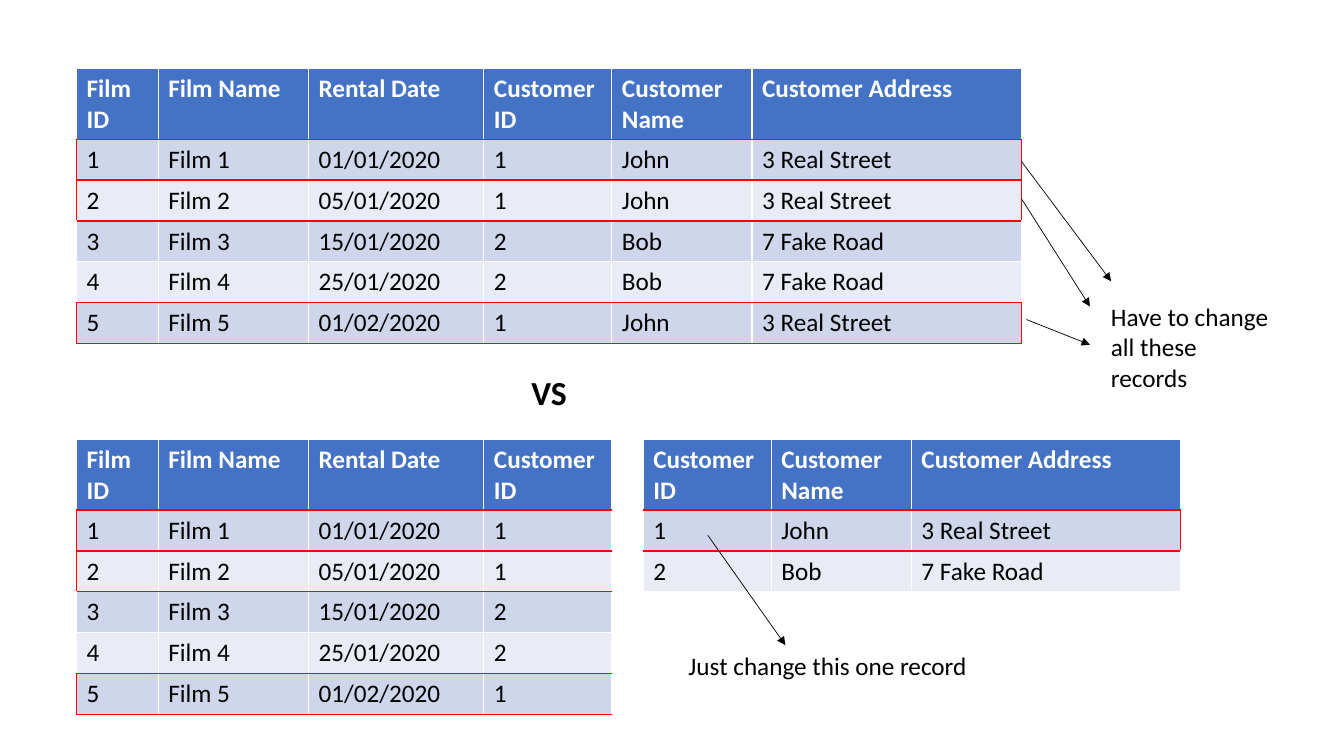
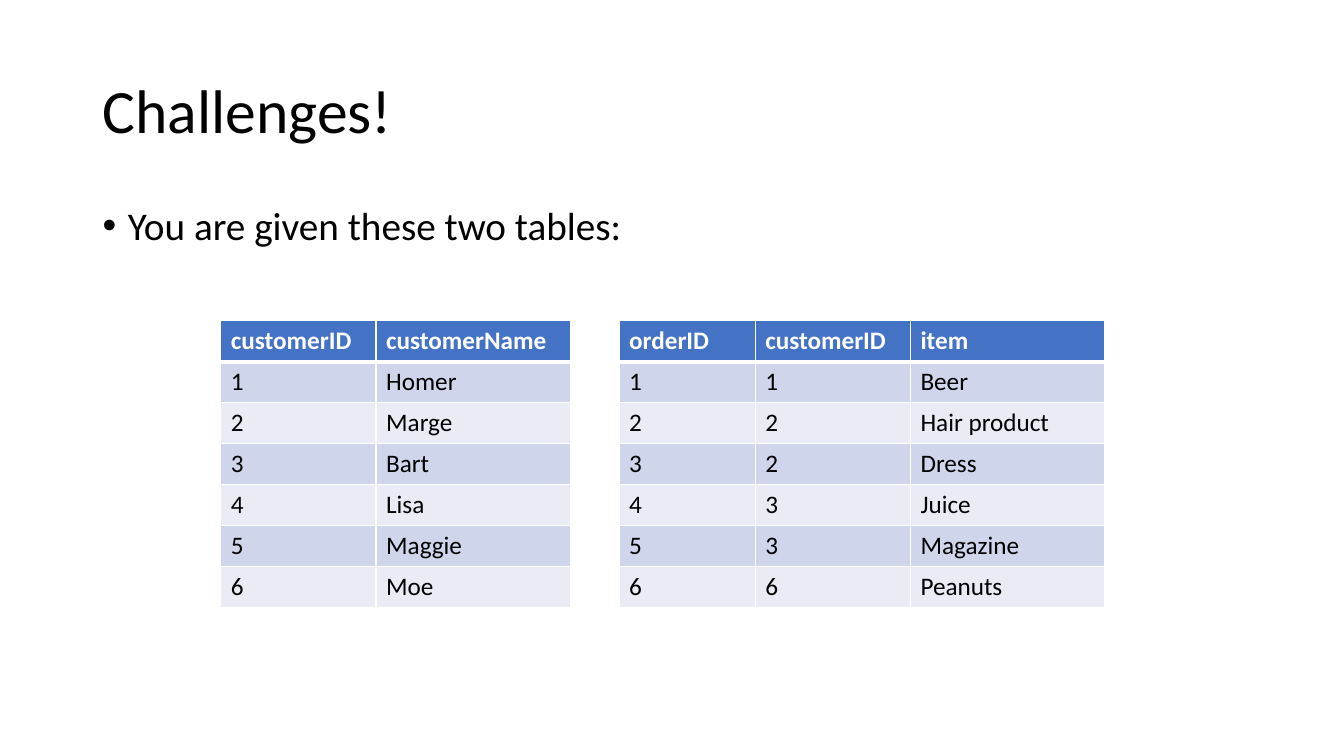
from dataclasses import dataclass

from lxml import etree
from pptx import Presentation
from pptx.dml.color import RGBColor
from pptx.enum import shapes, text
from pptx.oxml import ns
from pptx.util import Inches, Pt


@dataclass(frozen=True)
class Theme:
    font: str = "Calibri"
    ink: str = "000000"
    white: str = "FFFFFF"
    header: str = "4472C4"
    bands: tuple[str, str] = ("CFD5EA", "E9EBF5")
    mark: str = "FF0000"
    title: int = 44
    lead: int = 28
    versus: int = 24
    body: int = 18


@dataclass(frozen=True)
class Grid:
    left: float
    top: float
    widths: tuple[float, ...]
    rows: list[tuple[str, ...]]
    header_height: float = 0.41
    marked: tuple[int, ...] = ()
    mark_left: bool = False
    mark_right: bool = False


@dataclass(frozen=True)
class Label:
    text: str
    left: float
    top: float
    width: float
    height: float
    size: int
    bold: bool = False
    align: text.PP_ALIGN = text.PP_ALIGN.LEFT
    anchor: text.MSO_ANCHOR = text.MSO_ANCHOR.TOP
    line_spacing: float = 1.0
    space_before: float = 0
    bullet: bool = False


@dataclass(frozen=True)
class Arrow:
    x1: float
    y1: float
    x2: float
    y2: float


THEME = Theme()
ROW_HEIGHT = 0.406
TALL_HEADER = 0.7

FILM_HEADS = ("Film ID", "Film Name", "Rental Date")
CUSTOMER_HEADS = ("Customer ID", "Customer Name", "Customer Address")
FILM_WIDTHS = (0.81, 1.49, 1.74)
CUSTOMER_WIDTHS = (1.27, 1.39, 2.67)
CUSTOMERS = {"1": ("John", "3 Real Street"), "2": ("Bob", "7 Fake Road")}
RENTALS = [
    ("1", "Film 1", "01/01/2020", "1"),
    ("2", "Film 2", "05/01/2020", "1"),
    ("3", "Film 3", "15/01/2020", "2"),
    ("4", "Film 4", "25/01/2020", "2"),
    ("5", "Film 5", "01/02/2020", "1"),
]
JOHN_ROWS = (1, 2, 5)
ID_WIDTH, NAME_WIDTH = 1.54, 1.93

RENTAL_GRIDS = [
    Grid(0.76, 0.68, FILM_WIDTHS + CUSTOMER_WIDTHS,
         [FILM_HEADS + CUSTOMER_HEADS] + [r + CUSTOMERS[r[-1]] for r in RENTALS],
         TALL_HEADER, JOHN_ROWS, mark_left=True, mark_right=True),
    Grid(0.76, 4.36, FILM_WIDTHS + CUSTOMER_WIDTHS[:1],
         [FILM_HEADS + CUSTOMER_HEADS[:1]] + RENTALS,
         TALL_HEADER, JOHN_ROWS, mark_left=True),
    Grid(6.38, 4.36, CUSTOMER_WIDTHS,
         [CUSTOMER_HEADS] + [(key, *person) for key, person in CUSTOMERS.items()],
         TALL_HEADER, (1,), mark_right=True),
]
RENTAL_ARROWS = [
    Arrow(10.13, 1.6, 11.02, 2.79),
    Arrow(10.13, 1.97, 10.81, 3.04),
    Arrow(10.18, 3.17, 10.81, 3.42),
    Arrow(7.02, 5.31, 7.79, 6.4),
]
RENTAL_LABELS = [
    Label("Have to change all these records", 10.92, 2.94, 1.84, 1.01, THEME.body),
    Label("VS", 5.02, 3.64, 0.85, 0.5, THEME.versus, bold=True,
          align=text.PP_ALIGN.CENTER),
    Label("Just change this one record", 6.73, 6.4, 3.57, 0.4, THEME.body),
]
CHALLENGE_LABELS = [
    Label("Challenges!", 0.92, 0.4, 11.5, 1.45, THEME.title,
          anchor=text.MSO_ANCHOR.MIDDLE, line_spacing=0.9),
    Label("You are given these two tables:", 0.92, 2, 11.5, 4.76, THEME.lead,
          line_spacing=0.9, space_before=10, bullet=True),
]
CHALLENGE_GRIDS = [
    Grid(2.19, 3.18, (ID_WIDTH, NAME_WIDTH), [
        ("customerID", "customerName"),
        ("1", "Homer"),
        ("2", "Marge"),
        ("3", "Bart"),
        ("4", "Lisa"),
        ("5", "Maggie"),
        ("6", "Moe"),
    ]),
    Grid(6.14, 3.18, (1.35, ID_WIDTH, NAME_WIDTH), [
        ("orderID", "customerID", "item"),
        ("1", "1", "Beer"),
        ("2", "2", "Hair product"),
        ("3", "2", "Dress"),
        ("4", "3", "Juice"),
        ("5", "3", "Magazine"),
        ("6", "6", "Peanuts"),
    ]),
]


def style_text(p, size: int, color: str, bold: bool = False) -> None:
    for r in p.runs:
        r.font.name = THEME.font
        r.font.size = Pt(size)
        r.font.bold = bold
        r.font.color.rgb = RGBColor.from_string(color)


def add_border(cell, side: str, color: str, width: float = 1) -> None:
    ln = etree.SubElement(cell._tc.get_or_add_tcPr(), ns.qn(f"a:ln{side}"),
                          w=str(Pt(width)))
    fill = etree.SubElement(ln, ns.qn("a:solidFill"))
    etree.SubElement(fill, ns.qn("a:srgbClr"), val=color)


def style_cell(cell, grid: Grid, row: int, col: int) -> None:
    is_header = row == 0
    marked = row in grid.marked
    red = {
        "L": marked and grid.mark_left and col == 0,
        "R": marked and grid.mark_right and col == len(grid.widths) - 1,
        "T": marked or row - 1 in grid.marked,
        "B": marked or row + 1 in grid.marked,
    }
    for side, is_red in red.items():
        thick = is_header and side == "B" and not is_red
        add_border(cell, side, THEME.mark if is_red else THEME.white,
                   3 if thick else 1)
    cell.fill.solid()
    fill = THEME.header if is_header else THEME.bands[(row - 1) % 2]
    cell.fill.fore_color.rgb = RGBColor.from_string(fill)
    cell.text_frame.text = grid.rows[row][col]
    style_text(cell.text_frame.paragraphs[0], THEME.body,
               THEME.white if is_header else THEME.ink, is_header)


def draw_grid(s, grid: Grid) -> None:
    heights = [grid.header_height] + [ROW_HEIGHT] * (len(grid.rows) - 1)
    table = s.shapes.add_table(
        len(grid.rows), len(grid.widths), Inches(grid.left), Inches(grid.top),
        Inches(sum(grid.widths)), Inches(sum(heights))).table
    for column, width in zip(table.columns, grid.widths):
        column.width = Inches(width)
    for row, height in enumerate(heights):
        table.rows[row].height = Inches(height)
        for col in range(len(grid.widths)):
            style_cell(table.cell(row, col), grid, row, col)


def draw_label(s, label: Label) -> None:
    sp = s.shapes.add_textbox(Inches(label.left), Inches(label.top),
                              Inches(label.width), Inches(label.height))
    tf = sp.text_frame
    tf.word_wrap = True
    tf.vertical_anchor = label.anchor
    tf.text = label.text
    p = tf.paragraphs[0]
    p.alignment = label.align
    p.line_spacing = label.line_spacing
    p.space_before = Pt(label.space_before)
    if label.bullet:
        pPr = p._p.get_or_add_pPr()
        pPr.set("marL", str(Inches(0.25)))
        pPr.set("indent", str(-Inches(0.25)))
        etree.SubElement(pPr, ns.qn("a:buFont"), typeface="Arial")
        etree.SubElement(pPr, ns.qn("a:buChar"), char="•")
    style_text(p, label.size, THEME.ink, label.bold)


def draw_arrow(s, arrow: Arrow) -> None:
    line = s.shapes.add_connector(
        shapes.MSO_CONNECTOR.STRAIGHT, Inches(arrow.x1), Inches(arrow.y1),
        Inches(arrow.x2), Inches(arrow.y2))
    line.line.width = Pt(0.5)
    line.line.color.rgb = RGBColor.from_string(THEME.ink)
    etree.SubElement(line.line._get_or_add_ln(), ns.qn("a:tailEnd"), type="triangle")
    etree.SubElement(line._element.spPr, ns.qn("a:effectLst"))


def add_slide(prs, labels: list[Label], grids: list[Grid],
              arrows: list[Arrow]) -> None:
    s = prs.slides.add_slide(prs.slide_layouts[6])
    for label in labels:
        draw_label(s, label)
    for grid in grids:
        draw_grid(s, grid)
    for arrow in arrows:
        draw_arrow(s, arrow)


def main() -> None:
    prs = Presentation()
    prs.slide_width = Inches(13.33)
    prs.slide_height = Inches(7.5)
    add_slide(prs, RENTAL_LABELS, RENTAL_GRIDS, RENTAL_ARROWS)
    add_slide(prs, CHALLENGE_LABELS, CHALLENGE_GRIDS, [])
    prs.save("out.pptx")


if __name__ == "__main__":
    main()
